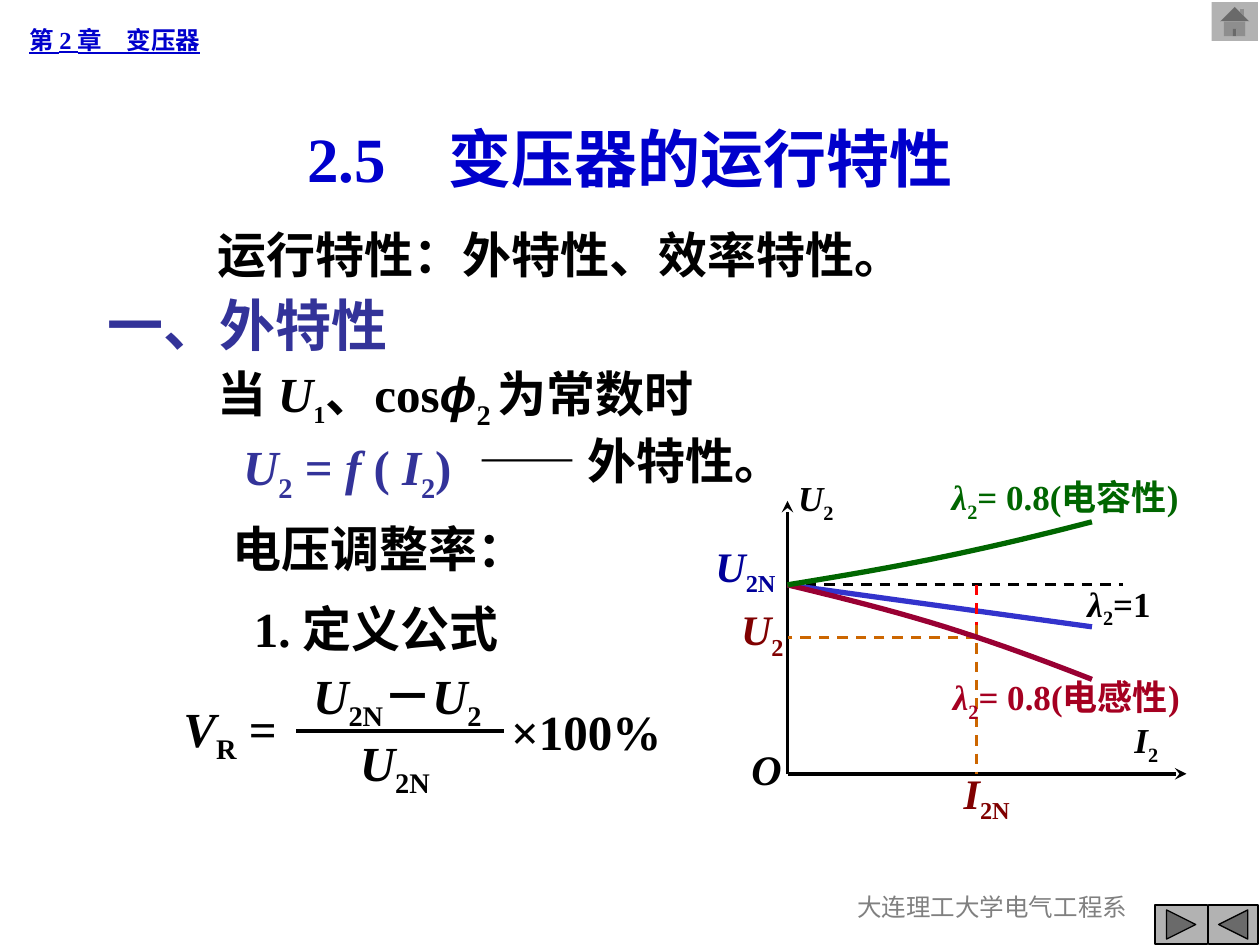
"""Build the slide on the operating characteristics of a transformer."""
import pptx
import pptx.util
import pptx.dml.color
import pptx.enum.dml
import pptx.enum.shapes
import pptx.enum.text
import pptx.oxml

RGB = pptx.dml.color.RGBColor
BLACK = RGB(0x00, 0x00, 0x00)
GREY = RGB(0x80, 0x80, 0x80)
BUTTON_GREY = RGB(0xB2, 0xB2, 0xB2)
TITLE_BLUE = RGB(0x00, 0x00, 0xCC)
HEADING_BLUE = RGB(0x33, 0x33, 0x99)
NAVY = RGB(0x00, 0x00, 0x99)
LINE_BLUE = RGB(0x33, 0x33, 0xCC)
MAROON = RGB(0x80, 0x00, 0x00)
CRIMSON = RGB(0xA5, 0x00, 0x21)
WINE = RGB(0x99, 0x00, 0x33)
GREEN = RGB(0x00, 0x66, 0x00)
ORANGE = RGB(0xCC, 0x66, 0x00)
RED = RGB(0xFF, 0x00, 0x00)

LEFT, CENTER = pptx.enum.text.PP_ALIGN.LEFT, pptx.enum.text.PP_ALIGN.CENTER
TOP, MIDDLE = pptx.enum.text.MSO_ANCHOR.TOP, pptx.enum.text.MSO_ANCHOR.MIDDLE
SHAPES = pptx.enum.shapes.MSO_SHAPE
CELLS_PER_INCH = 12
PAGE = (0, 0)
ORIGIN = (75, 73.7)


def symbol(letter, subscript):
    return [(letter, {"italic": True}), (subscript, {"sub": True})]


def load(kind):
    return [[*symbol("λ", "2"), f"= 0.8({kind})"]]


TITLE = ((9, 10.4, 102, 9.1), [["2.5　变压器的运行特性"]],
         dict(size=36, color=TITLE_BLUE, align=CENTER, anchor=MIDDLE, grow=False))
BODY = ((9, 20.8, 85.2, 33.4), [
    ["运行特性：外特性、效率特性。"],
    [("一、外特性", {"size": 32, "color": HEADING_BLUE})],
    ["当 ", ("U", {"italic": True}), ("1", {"sub": True, "size": 24}), "、cos",
     ("ϕ", {"font": "Arial", "italic": True}), ("2 ", {"sub": True}), "为常数时"],
    [(text, {"color": HEADING_BLUE, **style}) for text, style in [
        *symbol("U", "2"), (" = ", {}), ("f ", {"italic": True}), ("(", {}),
        *symbol(" I", "2"), (")", {})]],
], dict(indents=(0.88, 0, 0.88, 1.08), spacing=(0, 4, 3.5, 3.5), grow=False))

PAGE_TEXTS = [
    ((75.5, 84.4, 38, 6), [["大连理工大学电气工程系"]],
     dict(size=14, color=GREY, bold=False, align=CENTER, grow=False)),
    ((44.4, 40.4, 34.1, 6.8), [["—— 外特性。"]], dict(wrap=False)),
    ((21, 48.8, 70, 6.8), [["电压调整率："]], {}),
    ((1.6, 1.7, 38.8, 4.1), [["第 2 章　变压器"]],
     dict(size=14, color=TITLE_BLUE, underline=True, anchor=MIDDLE)),
    ((23, 56.4, 70, 6.8), [["1. 定义公式"]], {}),
]
FORMULA_TEXTS = [
    ((16.3, 65.9, 13.2, 7.6), [[*symbol("V", "R"), " ="]], {}),
    ((26.4, 62.8, 22.4, 13.9),
     [[*symbol(" U", "2N"), "－", *symbol("U", "2 ")], symbol("U", "2N")],
     dict(align=CENTER, wrap=False, grow=False)),
    ((47.5, 66.2, 19, 6.8), [["×100%"]], dict(wrap=False, grow=False)),
]
FRACTION_BAR = [((28.2, 69.6), (48, 69.6), BLACK, 2.25, {})]

LABEL = dict(size=20, align=CENTER, anchor=MIDDLE, wrap=False, grow=False)
MARK = dict(size=24, color=MAROON, wrap=False, grow=False)
GRAPH_TEXTS = [
    ((1, -29, 4, 6), [symbol("U", "2")], {**LABEL, "align": LEFT, "inset": 0}),
    ((32, -6, 4, 6), [symbol(" I", "2 ")], LABEL),
    ((-4, -3, 4, 5), [[("O", {"italic": True})]], {**LABEL, "size": 24}),
    ((-8, -22, 8, 5), [symbol("U", "2N")], {**LABEL, "size": 24, "color": NAVY}),
    ((28, -18, 8, 4), [[*symbol("λ", "2"), "=1 "]], LABEL),
    ((13.8, -10, 25.5, 5.8), load("电感性"), {**LABEL, "color": CRIMSON}),
    ((13.7, -29, 25.5, 5.8), load("电容性"), {**LABEL, "color": GREEN}),
    ((14.6, -1.2, 7.8, 6.7), [symbol(" I", "2N")], MARK),
    ((-6.6, -16.8, 7.4, 6.7), [symbol(" U", "2")], MARK),
]
GRAPH_LINES = [
    ((0, 0), (38, 0), BLACK, 2.25, {"arrow": True}),
    ((0, 0), (0, -26), BLACK, 2.25, {"arrow": True}),
    ((0, -18), (32, -18), BLACK, 1.5, {"dash": True}),
    ((0, -18), (29, -14), LINE_BLUE, 3, {}),
    ((18, -14.2), (18, 0), ORANGE, 1.5, {"dash": True}),
    ((18, -18), (18, -14.2), RED, 1.5, {"dash": True}),
    ((18, -13), (0, -13), ORANGE, 1.5, {"dash": True}),
]
GRAPH_CURVES = [
    (WINE, [(0, -18), (5, -16.8), (10.2, -15.5), (15, -14),
            (19.8, -12.5), (24.4, -10.8), (29, -9)]),
    (GREEN, [(0, -18), (5, -18.8), (10.2, -19.7), (15, -20.7),
             (19.8, -21.7), (24.4, -22.8), (29, -24)]),
]
BUTTONS = [
    (SHAPES.ACTION_BUTTON_FORWARD_OR_NEXT, (110, 86.2, 5, 3.7), True),
    (SHAPES.ACTION_BUTTON_BACK_OR_PREVIOUS, (115.1, 86.2, 4.7, 3.7), True),
    (SHAPES.ACTION_BUTTON_HOME, (115.4, 0.2, 4.4, 3.7), False),
]


def cells(*counts):
    return [pptx.util.Inches(count / CELLS_PER_INCH) for count in counts]


def point(position, origin):
    return cells(position[0] + origin[0], position[1] + origin[1])


def element(tag, attributes=""):
    namespace = "http://schemas.openxmlformats.org/drawingml/2006/main"
    return pptx.oxml.parse_xml(f'<a:{tag} xmlns:a="{namespace}" {attributes}/>')


def write(holder, paragraphs, *, size=28, color=BLACK, bold=True, underline=None,
          align=LEFT, anchor=TOP, wrap=True, grow=True, inset=0.1,
          indents=(0, 0), spacing=(0, 0)):
    frame = holder.text_frame
    frame.word_wrap = wrap
    sizing = pptx.enum.text.MSO_AUTO_SIZE
    frame.auto_size = sizing.SHAPE_TO_FIT_TEXT if grow else sizing.NONE
    frame.vertical_anchor = anchor
    frame.margin_left = pptx.util.Inches(inset)
    for number, runs in enumerate(paragraphs):
        paragraph = frame.add_paragraph() if number else frame.paragraphs[0]
        properties = paragraph._p.get_or_add_pPr()
        properties.set("marL", str(pptx.util.Inches(indents[number])))
        properties.set("indent", "0")
        paragraph.alignment = align
        paragraph.space_before = pptx.util.Pt(spacing[number])
        properties.append(element("buNone"))
        for item in runs:
            text, style = (item, {}) if isinstance(item, str) else item
            run = paragraph.add_run()
            run.text = text
            font = run.font
            font.name = style.get("font", "Times New Roman")
            font.size = pptx.util.Pt(style.get("size", size))
            font.color.rgb = style.get("color", color)
            font.bold, font.underline = bold, underline
            font.italic = style.get("italic", False)
            if style.get("sub"):
                font._element.set("baseline", "-25000")


def add_texts(shapes, texts, origin):
    for (left, top, width, height), paragraphs, style in texts:
        box = shapes.add_textbox(*point((left, top), origin), *cells(width, height))
        write(box, paragraphs, **style)


def add_lines(shapes, lines, origin):
    for start, end, color, width, style in lines:
        connector = shapes.add_connector(pptx.enum.shapes.MSO_CONNECTOR.STRAIGHT,
                                         *point(start, origin), *point(end, origin))
        connector.line.color.rgb = color
        connector.line.width = pptx.util.Pt(width)
        if style.get("dash"):
            connector.line.dash_style = pptx.enum.dml.MSO_LINE.DASH
        if style.get("arrow"):
            connector.line._get_or_add_ln().append(element("tailEnd", 'type="stealth"'))
        connector._element.spPr.append(element("effectLst"))


def bezier(controls, share):
    weights = ((1 - share) ** 3, 3 * share * (1 - share) ** 2,
               3 * share ** 2 * (1 - share), share ** 3)
    return [sum(w * c[axis] for w, c in zip(weights, controls)) for axis in (0, 1)]


def add_curves(shapes, curves, origin, steps=10):
    for color, controls in curves:
        points = [point(bezier(controls[first:first + 4], step / steps), origin)
                  for first in (0, 3) for step in range(1, steps + 1)]
        builder = shapes.build_freeform(*point(controls[0], origin))
        builder.add_line_segments(points, close=False)
        curve = builder.convert_to_shape()
        curve.shadow.inherit = False
        curve.fill.background()
        curve.line.color.rgb = color
        curve.line.width = pptx.util.Pt(3)


def add_buttons(shapes):
    for preset, box, outlined in BUTTONS:
        button = shapes.add_shape(preset, *cells(*box))
        button.shadow.inherit = False
        button.fill.solid()
        button.fill.fore_color.rgb = BUTTON_GREY
        if outlined:
            button.line.color.rgb = BLACK
            button.line.width = pptx.util.Pt(0.75)
        else:
            button.line.fill.background()


def main():
    deck = pptx.Presentation()
    deck.slide_width, deck.slide_height = cells(120, 90)
    slide = deck.slides.add_slide(deck.slide_layouts[1])
    for holder, (box, paragraphs, style) in zip(slide.placeholders, (TITLE, BODY)):
        holder.left, holder.top, holder.width, holder.height = cells(*box)
        write(holder, paragraphs, **style)
    add_texts(slide.shapes, PAGE_TEXTS, PAGE)
    graph = slide.shapes.add_group_shape().shapes
    add_lines(graph, GRAPH_LINES, ORIGIN)
    add_curves(graph, GRAPH_CURVES, ORIGIN)
    add_texts(graph, GRAPH_TEXTS, ORIGIN)
    formula = slide.shapes.add_group_shape().shapes
    add_texts(formula, FORMULA_TEXTS, PAGE)
    add_lines(formula, FRACTION_BAR, PAGE)
    add_buttons(slide.shapes)
    deck.save("out.pptx")


if __name__ == "__main__":
    main()
